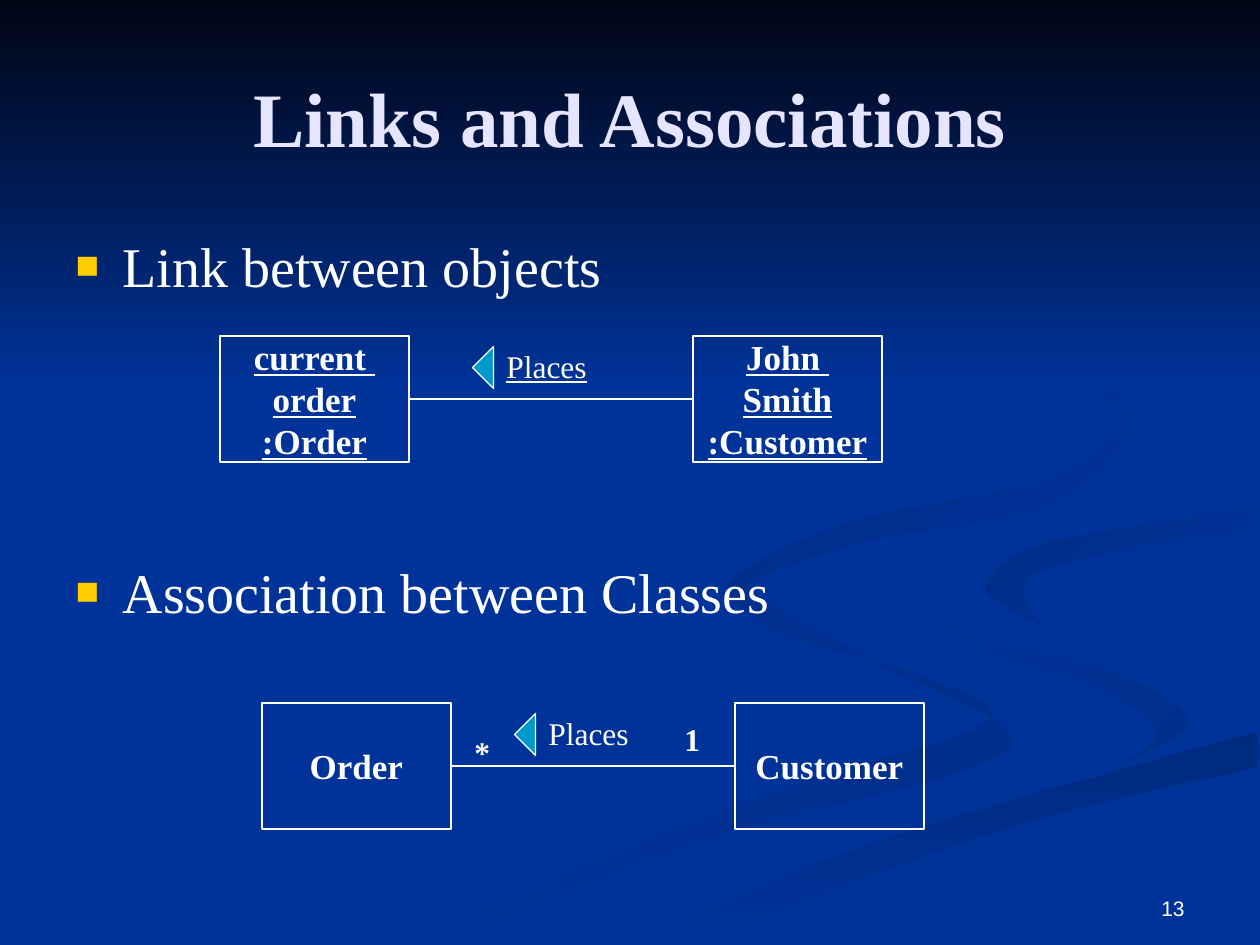
from lxml import etree
from pptx import Presentation
from pptx.dml.color import RGBColor
from pptx.enum import shapes, text
from pptx.oxml.ns import qn
from pptx.util import Pt

PX = 914400 // 126
WIDE, HIGH = 1260, 945
SERIF, SANS = "Times New Roman", "Arial"

BLUE = RGBColor(0x00, 0x33, 0x99)
NIGHT = RGBColor(0x00, 0x05, 0x14)
LILAC = RGBColor(0xE5, 0xE5, 0xFF)
WHITE = RGBColor(0xFF, 0xFF, 0xFF)
GOLD = RGBColor(0xFF, 0xCC, 0x00)
TEAL = RGBColor(0x00, 0x99, 0xCC)
DEEP = RGBColor(0x00, 0x2E, 0x8B)
DIM = RGBColor(0x00, 0x2A, 0x7D)
DUSK = RGBColor(0x00, 0x2D, 0x86)
SHADE = RGBColor(0x00, 0x2B, 0x82)

# Content
TITLE = "Links and Associations"
ITEMS = [("Link between objects", 0), ("Association between Classes", 148)]
PAGE = "13"

# Diagrams: origin, lines of both boxes, underline, end marks (text, dx, dy)
PAIRS = [
    ((220, 336), ["current ", "order", ":Order"],
     ["John ", "Smith", ":Customer"], True, []),
    ((262, 703), ["Order"], ["Customer"], False,
     [("1", 410, 11), ("*", 200, 24)]),
]

# Background ribbons: first colour, last colour, clockwise angle, two edges
RIBBONS = [
    (BLUE, DEEP, 0,
     [(725, 578), (770, 629), (917, 675), (987, 723), (776, 792), (378, 944)],
     [(455, 944), (711, 837), (952, 774), (1007, 730), (859, 654), (725, 578)]),
    (BLUE, DEEP, 45,
     [(912, 585), (965, 645), (1094, 685), (1157, 732), (1126, 762)],
     [(1126, 762), (1188, 722), (1119, 674), (975, 634), (912, 585)]),
    (DIM, BLUE, 90,
     [(634, 944), (794, 873), (963, 815), (1257, 732)],
     [(1257, 767), (1034, 820), (818, 895), (719, 944)]),
    (DUSK, BLUE, 45,
     [(1041, 625), (985, 588), (1034, 547), (1131, 527), (1257, 507)],
     [(1257, 529), (1129, 548), (1028, 578), (1041, 625)]),
    (SHADE, BLUE, 45,
     [(960, 294), (1089, 367), (1126, 433), (1040, 507), (861, 542),
      (751, 585), (784, 630)],
     [(784, 630), (728, 585), (852, 522), (1061, 476), (1115, 403),
      (960, 294)]),
]


def emu(*sizes):
    return [size * PX for size in sizes]


def curve(knots, steps=6):
    """Points of a smooth curve through the knots (Catmull-Rom)."""
    ends = [knots[0], *knots, knots[-1]]
    dots = []
    for quad in zip(ends, ends[1:], ends[2:], ends[3:]):
        for step in range(steps):
            t = step / steps
            dots.append(tuple(
                b + t * (c - a + t * (2 * a - 5 * b + 4 * c - d
                                      + t * (3 * b - a - 3 * c + d))) / 2
                for a, b, c, d in zip(*quad)))
    return dots + [knots[-1]]


def style(para, size, color=WHITE, face=SERIF, bold=False, under=False):
    font = para.font
    font.name, font.size, font.bold = face, Pt(size), bold
    font.underline = under
    font.color.rgb = color


def place(shape, *area):
    shape.left, shape.top, shape.width, shape.height = emu(*area)


def bullet(para):
    props = para._p.get_or_add_pPr()
    props.set("marL", str(47 * PX))
    props.set("indent", str(-47 * PX))
    tint = etree.SubElement(props, qn("a:buClr"))
    etree.SubElement(tint, qn("a:srgbClr"), val=str(GOLD))
    etree.SubElement(props, qn("a:buSzPct"), val="70000")
    etree.SubElement(props, qn("a:buFont"), typeface=SANS)
    etree.SubElement(props, qn("a:buChar"), char="■")


def edge(shape):
    shape.line.color.rgb = WHITE
    shape.line.width = Pt(0.75)


def blend(shape, first, last, angle):
    shape.shadow.inherit = False
    shape.line.fill.background()
    shape.fill.gradient()
    shape.fill.gradient_angle = -angle % 360
    for stop, color in zip(shape.fill.gradient_stops, (first, last)):
        stop.color.rgb = color


def ribbon(slide, first, last, angle, out, back):
    dots = curve(out) + curve(back)
    pen = slide.shapes.build_freeform(*dots[0], scale=PX)
    pen.add_line_segments(dots[1:], close=True)
    blend(pen.convert_to_shape(), first, last, angle)


def box(slide, left, top, lines, under):
    shape = slide.shapes.add_shape(
        shapes.MSO_SHAPE.RECTANGLE, *emu(left, top, 189, 126))
    shape.shadow.inherit = False
    shape.fill.background()
    edge(shape)
    frame = shape.text_frame
    frame.word_wrap = False
    frame.vertical_anchor = text.MSO_ANCHOR.MIDDLE
    frame.text = "\n".join(lines)
    for para in frame.paragraphs:
        para.alignment = text.PP_ALIGN.CENTER
        style(para, 20, bold=True, under=under)
    return shape


def label(slide, words, area, size=18, **look):
    frame = slide.shapes.add_textbox(*emu(*area)).text_frame
    frame.word_wrap = True
    frame.text = words
    style(frame.paragraphs[0], size, **look)
    return frame


def diagram(slide, origin, near, far, under, marks):
    left, top = origin
    start = box(slide, left, top, near, under)
    end = box(slide, left + 473, top, far, under)
    # Link between the boxes
    link = slide.shapes.add_connector(shapes.MSO_CONNECTOR.STRAIGHT, 0, 0, 0, 0)
    link.begin_connect(start, 3)
    link.end_connect(end, 1)
    edge(link)
    etree.SubElement(link._element.spPr, qn("a:effectLst"))
    # Reading direction and name
    arrow = slide.shapes.add_shape(
        shapes.MSO_SHAPE.ISOSCELES_TRIANGLE, *emu(left + 242, top + 21, 42, 21))
    arrow.rotation = 270
    arrow.shadow.inherit = False
    arrow.fill.solid()
    arrow.fill.fore_color.rgb = TEAL
    edge(arrow)
    label(slide, "Places", (left + 274, top + 5, 136, 50), under=under)
    for mark, dx, dy in marks:
        label(slide, mark, (left + dx, top + dy, 42, 50), bold=True)


def main():
    prs = Presentation()
    prs.slide_width, prs.slide_height = emu(WIDE, HIGH)
    slide = prs.slides.add_slide(prs.slide_layouts[1])
    title, body = slide.placeholders

    # Background, behind the placeholders
    slide.background.fill.solid()
    slide.background.fill.fore_color.rgb = BLUE
    for part in RIBBONS:
        ribbon(slide, *part)
    sky = slide.shapes.add_shape(
        shapes.MSO_SHAPE.RECTANGLE, *emu(0, 0, WIDE, 388))
    blend(sky, NIGHT, BLUE, 90)
    for holder in (title, body):
        slide.shapes._spTree.append(holder._element)

    # Title and list
    place(title, 63, 38, 1134, 157)
    title.text_frame.text = TITLE
    title.text_frame.auto_size = text.MSO_AUTO_SIZE.NONE
    style(title.text_frame.paragraphs[0], 44, LILAC, bold=True)
    place(body, 63, 220, 1134, 624)
    frame = body.text_frame
    frame.auto_size = text.MSO_AUTO_SIZE.NONE
    frame.margin_top = 11 * PX
    frame.text = "\n".join(words for words, _ in ITEMS)
    for para, (_, gap) in zip(frame.paragraphs, ITEMS):
        bullet(para)
        para.space_before = Pt(gap)
        style(para, 32)

    # Diagrams and page number
    for pair in PAIRS:
        diagram(slide, *pair)
    foot = label(slide, PAGE, (903, 861, 294, 66), 12, face=SANS)
    foot.vertical_anchor = text.MSO_ANCHOR.BOTTOM
    foot.paragraphs[0].alignment = text.PP_ALIGN.RIGHT
    prs.save("out.pptx")


if __name__ == "__main__":
    main()
